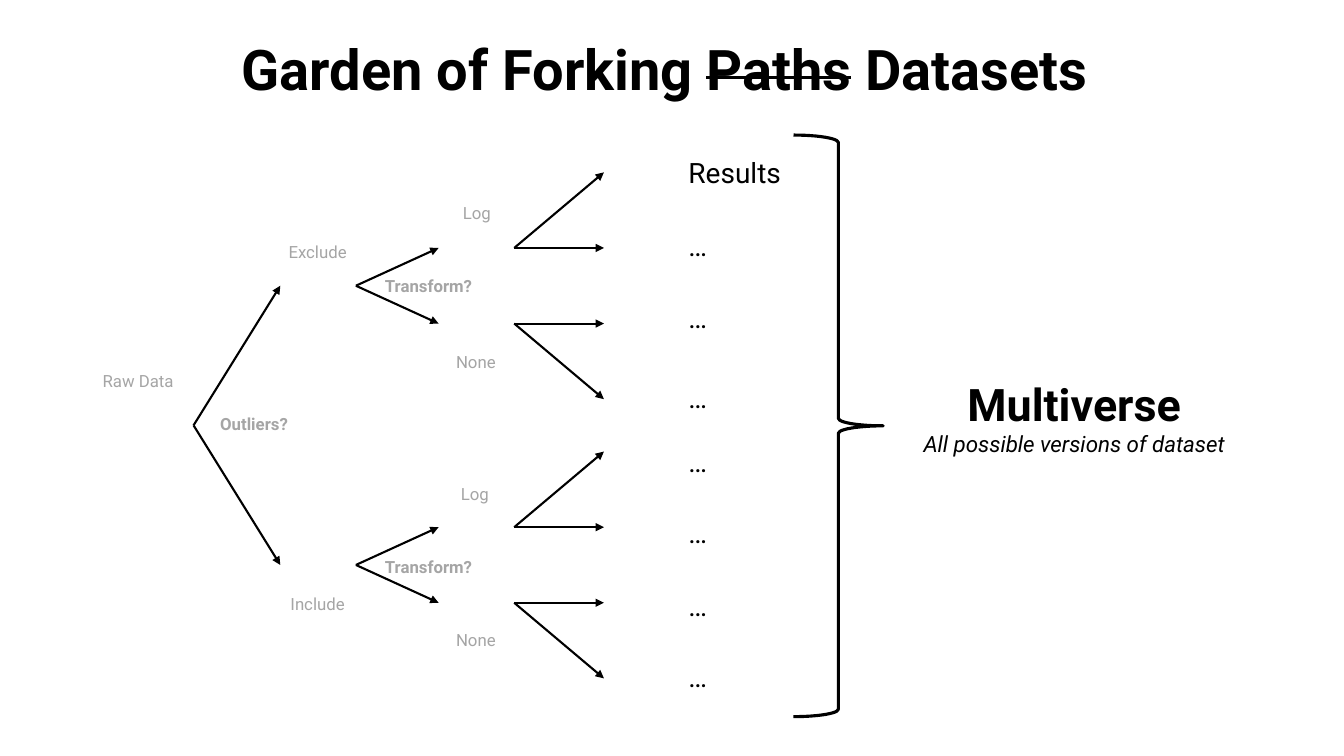
from lxml.etree import SubElement
from pptx import Presentation
from pptx.dml.color import RGBColor
from pptx.enum.shapes import MSO_CONNECTOR, MSO_SHAPE
from pptx.enum.text import MSO_ANCHOR, MSO_AUTO_SIZE, PP_ALIGN
from pptx.oxml.ns import qn
from pptx.util import Inches, Pt

COLORS = {"ink": "000000", "muted": "A5A5A5", "paper": "FFFFFF"}
FONT = "Roboto"


def rgb(name):
    return RGBColor.from_string(COLORS[name])


def style(p, size, color="ink", bold=False, italic=False, align=PP_ALIGN.CENTER):
    p.alignment = align
    p.font.name = FONT
    p.font.size = Pt(size)
    p.font.bold = bold
    p.font.italic = italic
    p.font.color.rgb = rgb(color)


def add_text(s, box, text, anchor=MSO_ANCHOR.TOP, wrap=True, **look):
    tf = s.shapes.add_textbox(*map(Inches, box)).text_frame
    tf.word_wrap = wrap
    tf.vertical_anchor = anchor
    p = tf.paragraphs[0]
    p.text = text
    style(p, **look)


def add_arrow(s, start, end):
    arrow = s.shapes.add_connector(
        MSO_CONNECTOR.STRAIGHT, *map(Inches, (*start, *end)))
    arrow.line.color.rgb = rgb("ink")
    arrow.line.width = Pt(1.5)
    SubElement(arrow.line._get_or_add_ln(), qn("a:tailEnd"), type="triangle")
    SubElement(arrow._element.spPr, qn("a:effectLst"))


def add_fork(s, x, y, width, rises):
    for rise in rises:
        add_arrow(s, (x, y), (x + width, y + rise))


def add_title(s, box):
    title = s.shapes.title
    title.left, title.top, title.width, title.height = map(Inches, box)
    tf = title.text_frame
    tf.word_wrap = True
    tf.auto_size = MSO_AUTO_SIZE.NONE
    tf.vertical_anchor = MSO_ANCHOR.MIDDLE
    p = tf.paragraphs[0]
    for text in ("Garden of Forking ", "Paths", " Datasets"):
        r = p.add_run()
        r.text = text
        if text == "Paths":
            r.font._element.set("strike", "sngStrike")
    style(p, 40, bold=True)
    p.line_spacing = 0.9


def add_tree(s, box):
    left, top, width, height = box
    middle = top + height / 2
    branch, step = 1.385, 0.375
    add_fork(s, left, middle, 0.86, (-branch, branch))
    for y in (middle - branch, middle + branch):
        add_fork(s, left + 1.61, y, 0.82, (-step, step))
        for side in (-step, step):
            add_fork(s, left + 3.18, y + side, width - 3.18, (0, 2 * side))

    labels = [
        ("Raw Data", -0.55, 1.92, False),
        ("Outliers?", 0.6, 2.35, True),
        ("Exclude", 1.23, 0.64, False),
        ("Include", 1.23, 4.13, False),
        ("Transform?", 2.33, 0.98, True),
        ("Transform?", 2.33, 3.76, True),
        ("Log", 2.81, 0.25, False),
        ("Log", 2.79, 3.04, False),
        ("None", 2.8, 1.73, False),
        ("None", 2.8, 4.49, False),
    ]
    label_width = 1.22
    for text, center, y, bold in labels:
        add_text(s, (left + center - label_width / 2, top + y, label_width, 0.3),
                 text, size=12, color="muted", bold=bold)


def add_results(s, box):
    left, top, width, row_height = box
    look = dict(size=20, align=PP_ALIGN.LEFT, wrap=False)
    add_text(s, box, "Results", **look)
    for y in (0.72, 1.43, 2.23, 2.86, 3.57, 4.29, 5):
        add_text(s, (left, top + y, 0.48, row_height), "…",
                 anchor=MSO_ANCHOR.BOTTOM, **look)


def add_multiverse(s, box):
    left, top, width, height = box
    brace_width, label_height = 0.89, 1.2
    label = s.shapes.add_shape(MSO_SHAPE.ROUNDED_RECTANGLE, *map(Inches, (
        left + brace_width, top + (height - label_height) / 2,
        width - brace_width, label_height)))
    label.shadow.inherit = False
    label.fill.solid()
    label.fill.fore_color.rgb = rgb("paper")
    label.line.fill.background()
    tf = label.text_frame
    tf.word_wrap = True
    tf.vertical_anchor = MSO_ANCHOR.TOP
    tf.text = "Multiverse\nAll possible versions of dataset"
    style(tf.paragraphs[0], 32, bold=True)
    style(tf.paragraphs[1], 16, italic=True)

    brace = s.shapes.add_shape(
        MSO_SHAPE.RIGHT_BRACE, *map(Inches, (left, top, brace_width, height)))
    brace.shadow.inherit = False
    brace.fill.background()
    brace.line.color.rgb = rgb("ink")
    brace.line.width = Pt(2.25)


def main():
    prs = Presentation()
    prs.slide_width = Inches(13.33)
    prs.slide_height = Inches(7.5)
    s = prs.slides.add_slide(prs.slide_layouts[5])
    add_title(s, (0.84, -0.01, 11.5, 1.45))
    add_tree(s, (1.92, 1.71, 4.07, 5.02))
    add_results(s, (6.73, 1.49, 1.14, 0.44))
    add_multiverse(s, (7.87, 1.34, 4.68, 5.77))
    prs.save("out.pptx")


if __name__ == "__main__":
    main()
